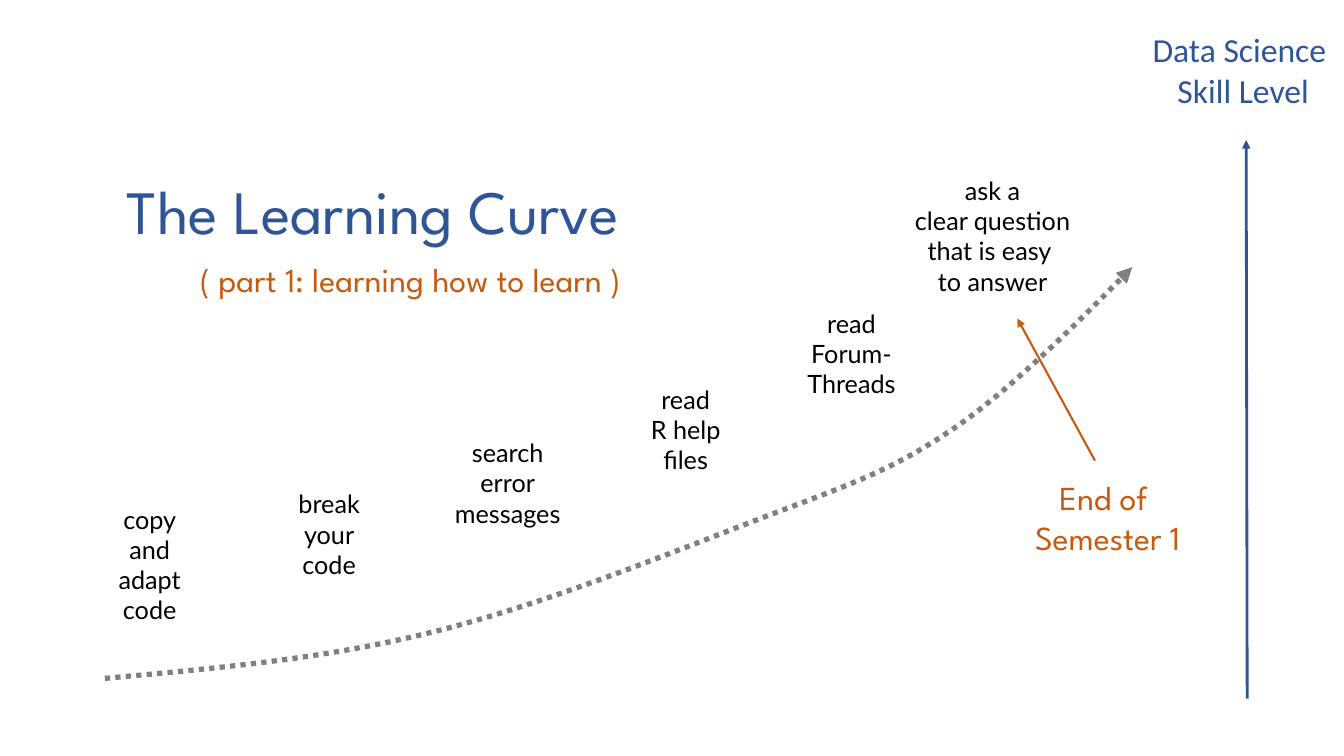
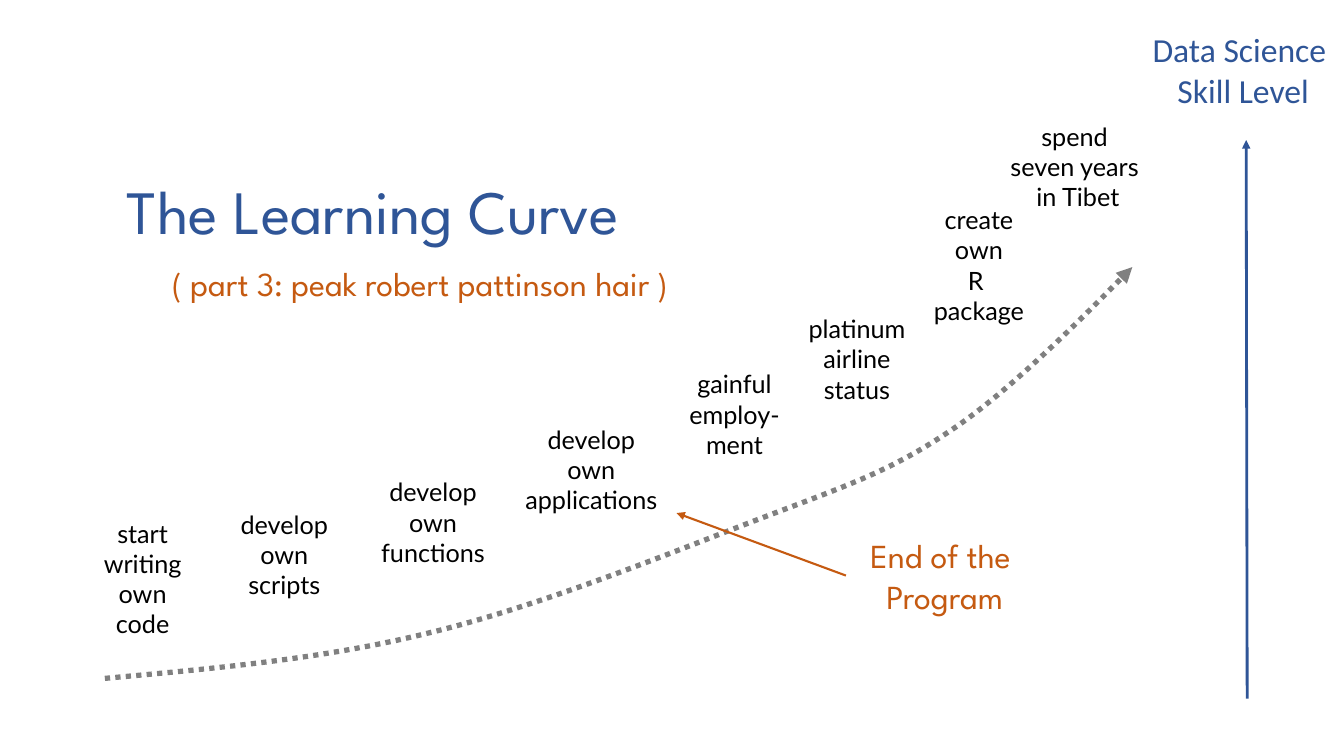
from lxml.etree import SubElement
from pptx import Presentation
from pptx.dml.color import RGBColor
from pptx.enum.dml import MSO_LINE_DASH_STYLE as Dash
from pptx.enum.shapes import MSO_CONNECTOR as Connector
from pptx.enum.text import MSO_AUTO_SIZE as AutoSize, PP_ALIGN as Align
from pptx.oxml.ns import qn
from pptx.util import Pt

EMU_PER_PX = 9144  # 100 px to the inch
BLUE = RGBColor(0x2F, 0x55, 0x97)
ORANGE = RGBColor(0xC5, 0x5A, 0x11)
GREY = RGBColor(0x80, 0x80, 0x80)
BLACK = RGBColor(0x00, 0x00, 0x00)
DISPLAY, AXIS_FONT, STAGE_FONT = "League Spartan", "Calibri", "Lato"

# Start point, then two control points and an end point for each Bezier piece
CURVE = [
    (104, 673),
    (213, 663), (321, 654), (429, 627),
    (536, 601), (664, 549), (750, 516),
    (836, 483), (881, 469), (943, 427),
    (1005, 386), (1123, 265), (1123, 265),
]


def px(length):
    return length * EMU_PER_PX


class Deck:
    def __init__(self):
        self.presentation = Presentation()
        self.presentation.slide_width = px(1333)
        self.presentation.slide_height = px(750)
        self.slide = None

    def add_slide(self):
        blank = self.presentation.slide_layouts[6]
        self.slide = self.presentation.slides.add_slide(blank)

    def label(self, left, top, width, text, size, font, color, align=Align.CENTER):
        """Add text; a newline starts a paragraph, a vertical tab breaks the line."""
        line_count = text.count("\n") + text.count("\v") + 1
        height = 10 + line_count * size * 5 // 3
        box = self.slide.shapes.add_textbox(px(left), px(top), px(width), px(height))
        frame = box.text_frame
        frame.word_wrap = False
        frame.auto_size = AutoSize.SHAPE_TO_FIT_TEXT
        frame.text = text
        for paragraph in frame.paragraphs:
            paragraph.alignment = align
            paragraph.font.size = Pt(size)
            paragraph.font.name = font
            paragraph.font.color.rgb = color
        return box

    def stroke(self, shape, color, width, dash=None):
        """Style the line of a shape and end it in an arrowhead."""
        shape.line.color.rgb = color
        shape.line.width = Pt(width)
        if dash:
            shape.line.dash_style = dash
        SubElement(shape.line._get_or_add_ln(), qn("a:tailEnd"), type="triangle")

    def arrow(self, start, end, color, width):
        connector = self.slide.shapes.add_connector(
            Connector.STRAIGHT, *map(px, start + end))
        self.stroke(connector, color, width)
        SubElement(connector._element.spPr, qn("a:effectLst"))
        return connector

    def curve(self, points):
        """Draw a smooth arrow by turning each three line points into one Bezier."""
        builder = self.slide.shapes.build_freeform(*points[0], scale=EMU_PER_PX)
        builder.add_line_segments(points[1:], close=False)
        shape = builder.convert_to_shape()
        shape.shadow.inherit = False
        shape.fill.background()
        self.stroke(shape, GREY, 3.75, Dash.ROUND_DOT)
        outline = next(shape._element.iter(qn("a:path")))
        segments = outline.findall(qn("a:lnTo"))
        for first in range(0, len(segments), 3):
            bezier = SubElement(outline, qn("a:cubicBezTo"))
            for segment in segments[first:first + 3]:
                bezier.append(segment[0])
                outline.remove(segment)

    def learning_curve(self, subtitle, stages):
        """Start a slide with the curve, the skill axis, the titles and the stages."""
        self.add_slide()
        self.arrow((1237, 693), (1236, 139), BLUE, 2)
        self.curve(CURVE)
        self.label(116, 167, 597, "The Learning Curve", 44, DISPLAY, BLUE, Align.LEFT)
        self.label(1132, 24, 202, "Data Science \vSkill Level", 24, AXIS_FONT, BLUE)
        self.label(*subtitle, 24, DISPLAY, ORANGE)
        for stage in stages:
            self.label(*stage, 18, STAGE_FONT, BLACK)

    def milestone(self, left, top, width, text):
        return self.label(left, top, width, text, 24, DISPLAY, ORANGE)

    def pointer(self, start, end):
        return self.arrow(start, end, ORANGE, 1.5)


def main():
    deck = Deck()

    deck.learning_curve((145, 252, 524, "( part 1: learning how to learn )"), [
        (105, 495, 87, "copy\nand\nadapt\vcode"),
        (283, 480, 87, "break\nyour\vcode"),
        (439, 429, 129, "search\nerror\nmessages"),
        (634, 376, 92, "read\nR help\nfiles"),
        (780, 301, 129, "read\nForum-\nThreads"),
        (893, 169, 183, "ask a\nclear question\nthat is easy \vto answer"),
    ])
    deck.milestone(1000, 468, 197, "End of \nSemester 1")
    deck.pointer((1086, 457), (1009, 316))

    deck.learning_curve((116, 256, 601, "( part 3: peak robert pattinson hair )"), [
        (90, 509, 103, "start\nwriting\nown\ncode"),
        (226, 500, 112, "develop\nown\nscripts"),
        (365, 468, 129, "develop\nown\nfunctions"),
        (506, 416, 161, "develop\nown\napplications"),
        (671, 361, 115, "gainful\nemploy-\nment"),
        (788, 306, 124, "platinum\nairline\nstatus"),
        (913, 198, 116, "create\nown\nR \npackage"),
        (990, 115, 158, "spend \vseven years \vin Tibet"),
    ])
    program_end = deck.milestone(839, 526, 196, "End of the \nProgram")
    deck.pointer((839, 571), (671, 509)).begin_connect(program_end, 1)

    deck.presentation.save("out.pptx")


if __name__ == "__main__":
    main()
